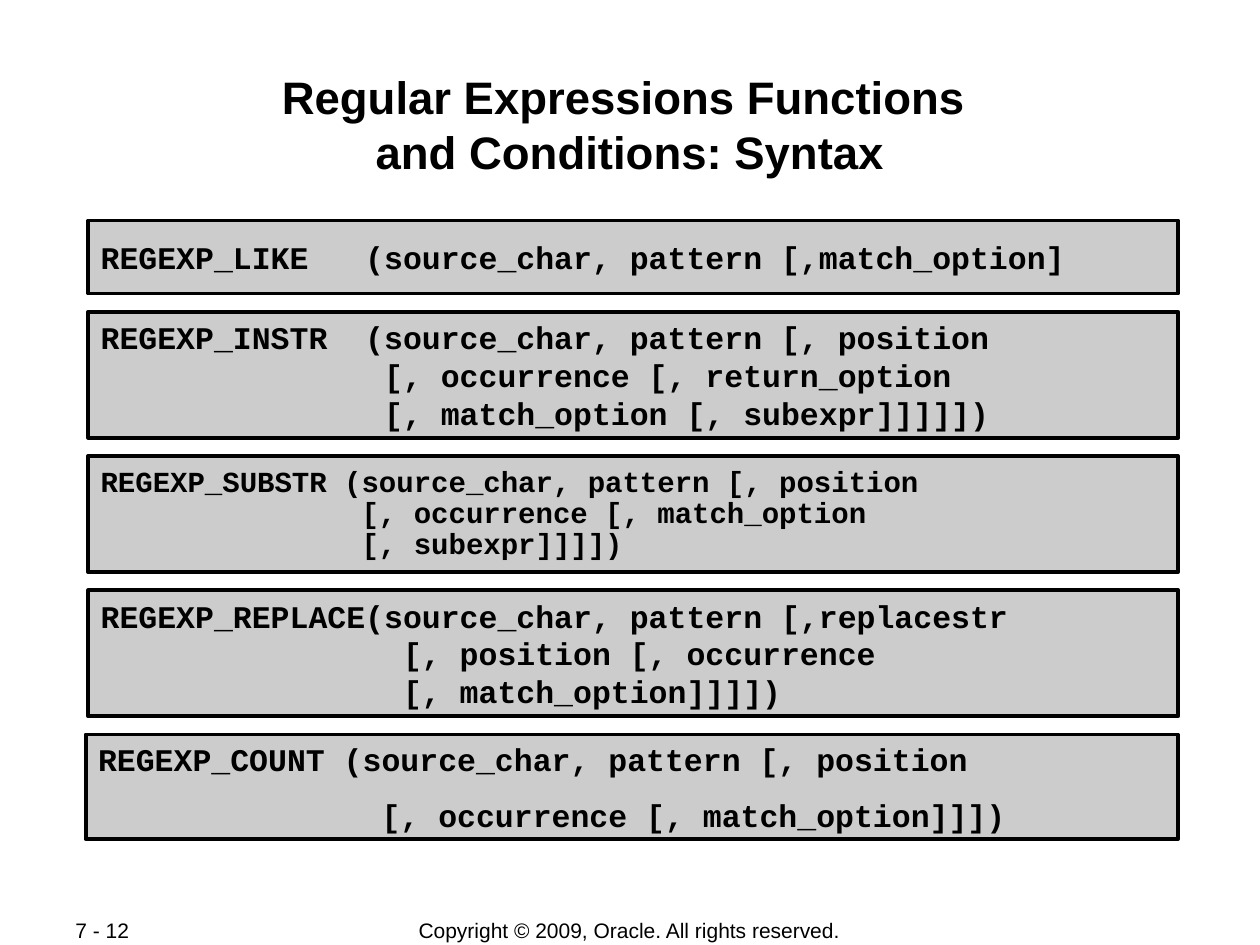
from pptx import Presentation
from pptx.dml.color import RGBColor
from pptx.enum.shapes import MSO_SHAPE
from pptx.enum.text import MSO_ANCHOR, MSO_AUTO_SIZE, PP_ALIGN
from pptx.util import Inches, Pt

RECT = MSO_SHAPE.RECTANGLE
TOP, MIDDLE = MSO_ANCHOR.TOP, MSO_ANCHOR.MIDDLE
LEFT, CENTER = PP_ALIGN.LEFT, PP_ALIGN.CENTER
NO_AUTOFIT = MSO_AUTO_SIZE.NONE

THEME = {
    "ink": RGBColor(0x00, 0x00, 0x00),
    "panel": RGBColor(0xCC, 0xCC, 0xCC),
    "sans": "Arial",
    "mono": "Courier New",
    "title": 26,
    "code": 18,
    "code_small": 16.6,
    "footer": 12,
    "border": 2.25,
}

TITLE = "Regular Expressions Functions \vand Conditions: Syntax"

# left, height, type size, line spacing, gap between lines (pt), code lines
SYNTAX = [
    (0.7, 0.58, "code", 1.0, 0, [
        "REGEXP_LIKE   (source_char, pattern [,match_option]",
    ]),
    (0.7, 1.0, "code", 1.0, 0, [
        "REGEXP_INSTR  (source_char, pattern [, position",
        "               [, occurrence [, return_option",
        "               [, match_option [, subexpr]]]]])",
    ]),
    (0.7, 0.92, "code_small", 0.9, 0, [
        "REGEXP_SUBSTR (source_char, pattern [, position",
        "               [, occurrence [, match_option",
        "               [, subexpr]]]])",
    ]),
    (0.7, 1.0, "code", 1.0, 0, [
        "REGEXP_REPLACE(source_char, pattern [,replacestr",
        "                [, position [, occurrence",
        "                [, match_option]]]])",
    ]),
    (0.68, 0.83, "code", 1.0, 10, [
        "REGEXP_COUNT (source_char, pattern [, position",
        "               [, occurrence [, match_option]]])",
    ]),
]
PANELS_TOP, PANELS_RIGHT, PANEL_GAP = 1.75, 9.35, 0.145

# left, top, width, height, alignment, text
FOOTERS = [
    (2.75, 7.28, 4.49, 0.21, CENTER, "Copyright © 2009, Oracle. All rights reserved."),
    (0.5, 7.28, 1.06, 0.2, LEFT, "7 - 12"),
]


def set_frame(tf, anchor, side, edge, wrap=True):
    tf.auto_size = NO_AUTOFIT
    tf.word_wrap = wrap
    tf.vertical_anchor = anchor
    tf.margin_left = tf.margin_right = Inches(side)
    tf.margin_top = tf.margin_bottom = Inches(edge)


def format_text(tf, face, size, align, bold=True):
    for p in tf.paragraphs:
        p.alignment = align
        for r in p.runs:
            r.font.name = THEME[face]
            r.font.size = Pt(THEME[size])
            r.font.bold = bold
            r.font.color.rgb = THEME["ink"]


def add_title(s):
    sp = s.shapes.title
    sp.left, sp.top, sp.width, sp.height = map(Inches, (0.67, 0.54, 8.66, 0.96))
    tf = sp.text_frame
    tf.text = TITLE
    set_frame(tf, TOP, 0.01, 0.01)
    tf.paragraphs[0].space_before = Pt(0)
    tf.paragraphs[0].line_spacing = 1.0
    format_text(tf, "sans", "title", CENTER)


def add_panel(s, left, top, height, size, spacing, gap, lines):
    sp = s.shapes.add_shape(RECT, Inches(left), Inches(top),
                            Inches(PANELS_RIGHT - left), Inches(height))
    sp.shadow.inherit = False
    sp.fill.solid()
    sp.fill.fore_color.rgb = THEME["panel"]
    sp.line.color.rgb = THEME["ink"]
    sp.line.width = Pt(THEME["border"])
    tf = sp.text_frame
    tf.text = "\n".join(lines)
    set_frame(tf, MIDDLE, 0.1, 0.01)
    for i, p in enumerate(tf.paragraphs):
        p.line_spacing = spacing
        p.space_before = Pt(gap if i else 0)
    format_text(tf, "mono", size, LEFT)


def add_footer(s, left, top, width, height, align, text):
    sp = s.shapes.add_textbox(*map(Inches, (left, top, width, height)))
    sp.text_frame.text = text
    set_frame(sp.text_frame, MIDDLE, 0.1, 0.05, wrap=False)
    format_text(sp.text_frame, "sans", "footer", align, bold=False)


def main():
    prs = Presentation()
    prs.slide_width, prs.slide_height = Inches(10), Inches(7.5)
    s = prs.slides.add_slide(prs.slide_layouts[5])
    for footer in FOOTERS:
        add_footer(s, *footer)
    add_title(s)
    top = PANELS_TOP
    for left, height, *style in SYNTAX:
        add_panel(s, left, top, height, *style)
        top += height + PANEL_GAP
    prs.save("out.pptx")


if __name__ == "__main__":
    main()
